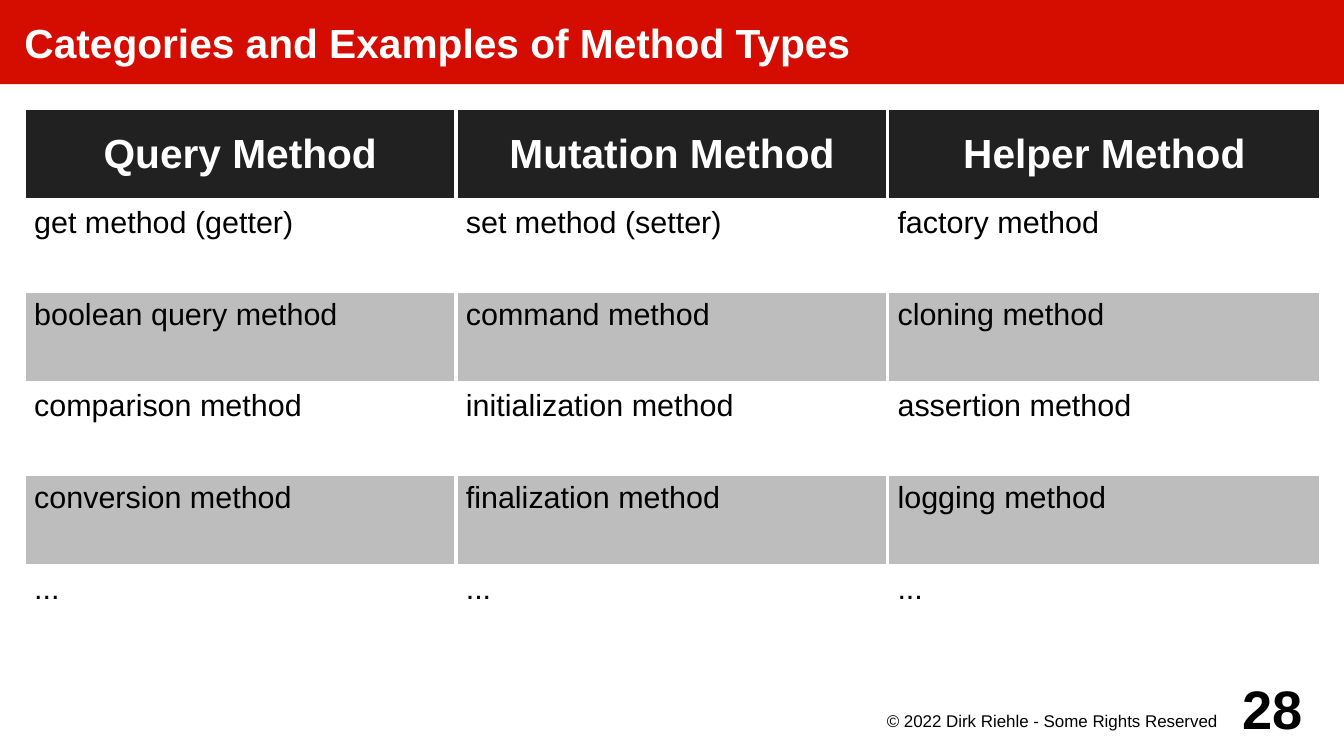
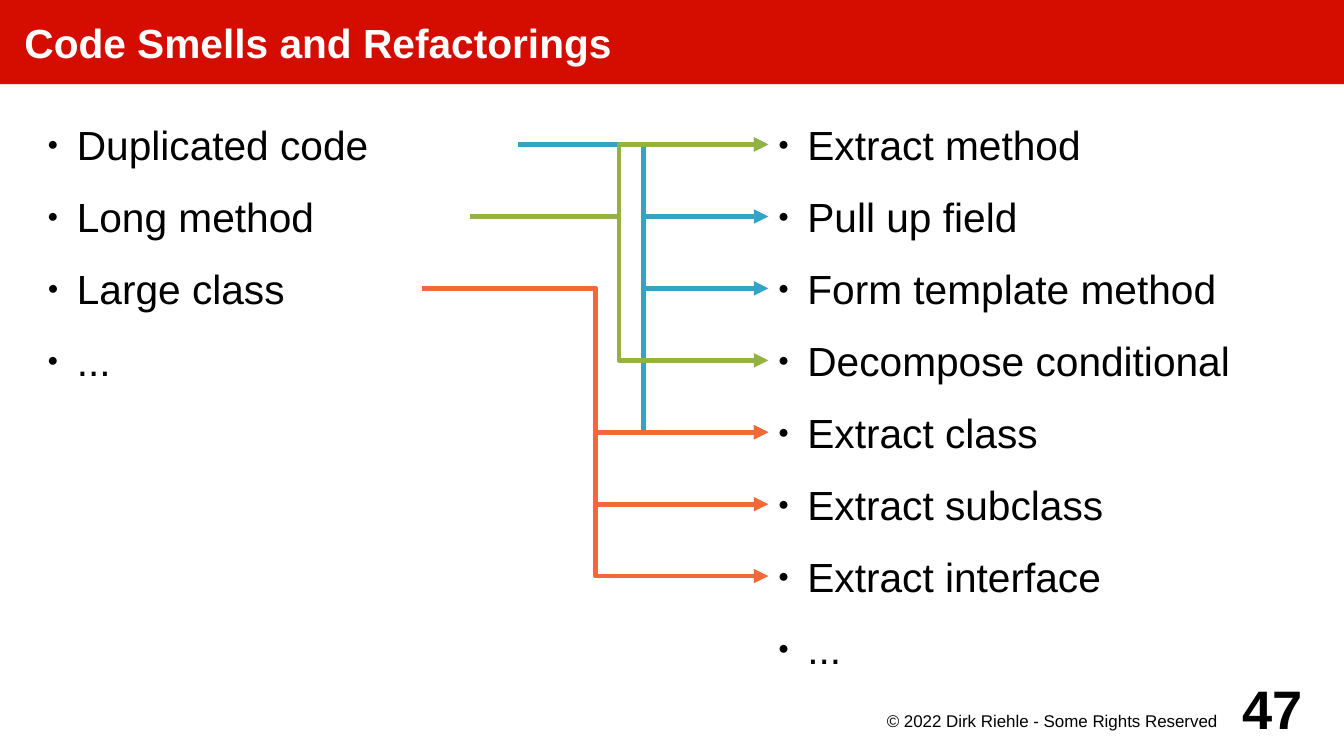
import pptx
import pptx.dml.color
import pptx.enum.shapes
import pptx.enum.text
import pptx.oxml
import pptx.oxml.ns
import pptx.util

Inches = pptx.util.Inches
Pt = pptx.util.Pt
Align = pptx.enum.text.PP_ALIGN
Anchor = pptx.enum.text.MSO_ANCHOR
Connector = pptx.enum.shapes.MSO_CONNECTOR

WIDTH, HEIGHT = 11.02, 6.2
MARGIN = 0.2
FONT = "Arial"
RED, DARK, GRAY = "D50D01", "212121", "BDBDBD"
WHITE, BLACK = "FFFFFF", "000000"
BLUE, GREEN, ORANGE = "34A3C5", "95B241", "F36838"
FOOTER = "© 2022 Dirk Riehle - Some Rights Reserved"


def color(value):
    return pptx.dml.color.RGBColor.from_string(value)


def xml(markup):
    """Build one element of the drawing namespace."""
    names = pptx.oxml.ns.nsdecls("a")
    return pptx.oxml.parse_xml(f"<a:part {names}>{markup}</a:part>")[0]


class Deck:
    def __init__(self):
        self.show = pptx.Presentation()
        self.show.slide_width = Inches(WIDTH)
        self.show.slide_height = Inches(HEIGHT)
        self.page = None

    def new_page(self, title, number):
        """Start a slide with its title band and footer."""
        self.page = self.show.slides.add_slide(self.show.slide_layouts[6])
        band = self.page.shapes.add_shape(
            pptx.enum.shapes.MSO_SHAPE.RECTANGLE, 0, 0, Inches(WIDTH), Inches(0.69))
        band.shadow.inherit = False
        band.fill.solid()
        band.fill.fore_color.rgb = color(RED)
        band.line.fill.background()
        self.put_text(band.text_frame, title, 24, WHITE, bold=True,
                      insets=(MARGIN, 0, 0, 0), anchor=Anchor.MIDDLE)
        self.text((7.09, 5.81, 3.15, 0.3), FOOTER, 10, align=Align.CENTER,
                  insets=(0, 0.02, 0.08, 0))
        self.text((10.04, 5.51, 0.79, 0.59), str(number), 32, bold=True,
                  align=Align.CENTER, anchor=Anchor.MIDDLE)

    def put_text(self, holder, words, size, ink=BLACK, bold=False, align=Align.LEFT,
                 insets=(0, 0, 0, 0), anchor=Anchor.TOP):
        """Fill a text frame or a table cell with one styled run."""
        (holder.margin_left, holder.margin_top,
         holder.margin_right, holder.margin_bottom) = (Inches(inset) for inset in insets)
        holder.vertical_anchor = anchor
        frame = getattr(holder, "text_frame", holder)
        frame.word_wrap = True
        para = frame.paragraphs[0]
        para.alignment = align
        span = para.add_run()
        span.text = words
        span.font.name = FONT
        span.font.size = Pt(size)
        span.font.bold = bold
        span.font.color.rgb = color(ink)
        return para

    def text(self, place, words, size, **style):
        box = self.page.shapes.add_textbox(*(Inches(length) for length in place))
        return self.put_text(box.text_frame, words, size, **style)

    def bullet(self, place, words):
        para = self.text(place, words, 24, insets=(0.08,) * 4, anchor=Anchor.MIDDLE)
        props = para._p.get_or_add_pPr()
        props.set("marL", str(Inches(0.24)))
        props.set("indent", str(-Inches(0.24)))
        for markup in (f'<a:buClr><a:srgbClr val="{BLACK}"/></a:buClr>',
                       '<a:buSzPct val="45000"/>',
                       f'<a:buFont typeface="{FONT}"/>',
                       '<a:buChar char="●"/>'):
            props.append(xml(markup))

    def arrow(self, start, end, ink):
        """Draw an arrow, with an elbow when its ends differ in height."""
        kind = Connector.STRAIGHT if start[1] == end[1] else Connector.ELBOW
        arrow = self.page.shapes.add_connector(
            kind, *(Inches(length) for length in (*start, *end)))
        arrow.line.color.rgb = color(ink)
        arrow.line.width = Pt(2.83)
        props = arrow._element.spPr
        props.get_or_add_ln().append(xml('<a:tailEnd type="triangle"/>'))
        props.append(xml("<a:effectLst/>"))

    def table(self, place, widths, heights, rows):
        """Draw a table with a dark header and banded rows."""
        grid = self.page.shapes.add_table(
            len(rows), len(widths), *(Inches(length) for length in place)).table
        for column, width in zip(grid.columns, widths):
            column.width = Inches(width)
        for row, height in zip(grid.rows, heights):
            row.height = Inches(height)
        for r, row in enumerate(rows):
            for c, words in enumerate(row):
                self.cell(grid.cell(r, c), words, r)

    def cell(self, cell, words, row):
        insets = (0.08, 0.05, 0.08, 0.05)
        if row == 0:
            fill = DARK
            self.put_text(cell, words, 24, WHITE, bold=True, align=Align.CENTER,
                          insets=insets, anchor=Anchor.MIDDLE)
        else:
            fill = WHITE if row % 2 else GRAY
            self.put_text(cell, words, 18, insets=insets)
        props = cell._tc.get_or_add_tcPr()
        for side in ("lnL", "lnR", "lnT", "lnB"):
            props.append(xml(
                f'<a:{side} w="{Pt(2.27)}"><a:solidFill><a:srgbClr val="{WHITE}"/>'
                f"</a:solidFill></a:{side}>"))
        cell.fill.solid()
        cell.fill.fore_color.rgb = color(fill)


def method_types(deck):
    deck.new_page("Categories and Examples of Method Types", 28)
    deck.table((MARGIN, 0.89, 10.63, 4.51), (3.54, 3.54, 3.55), [0.75] * 5 + [0.76], [
        ("Query Method", "Mutation Method", "Helper Method"),
        ("get method (getter)", "set method (setter)", "factory method"),
        ("boolean query method", "command method", "cloning method"),
        ("comparison method", "initialization method", "assertion method"),
        ("conversion method", "finalization method", "logging method"),
        ("...", "...", "..."),
    ])


def code_smells(deck):
    deck.new_page("Code Smells and Refactorings", 47)
    top, pitch, left, right = 0.89, 0.59, 0.31, 6.3

    # Each smell: label, box width, arrow colour, rows of its refactorings
    smells = [
        ("Duplicated code", 3.94, BLUE, (0, 1, 2, 4)),
        ("Long method", 3.54, GREEN, (0, 3)),
        ("Large class", 3.15, ORANGE, (4, 5, 6)),
        ("...", 3.94, None, ()),
    ]
    refactorings = ["Extract method", "Pull up field", "Form template method",
                    "Decompose conditional", "Extract class", "Extract subclass",
                    "Extract interface", "..."]

    # Two bullet columns
    for row, (label, width, _, _) in enumerate(smells):
        deck.bullet((left, top + row * pitch, width, pitch), label)
    for row, label in enumerate(refactorings):
        deck.bullet((right, top + row * pitch, 3.94, pitch), label)

    # Arrows from smells to refactorings
    def middle(row):
        return top + (row + 0.5) * pitch

    for row, (_, width, ink, targets) in enumerate(smells):
        for target in targets:
            deck.arrow((left + width, middle(row)), (right, middle(target)), ink)


def main():
    deck = Deck()
    method_types(deck)
    code_smells(deck)
    deck.show.save("out.pptx")


if __name__ == "__main__":
    main()
